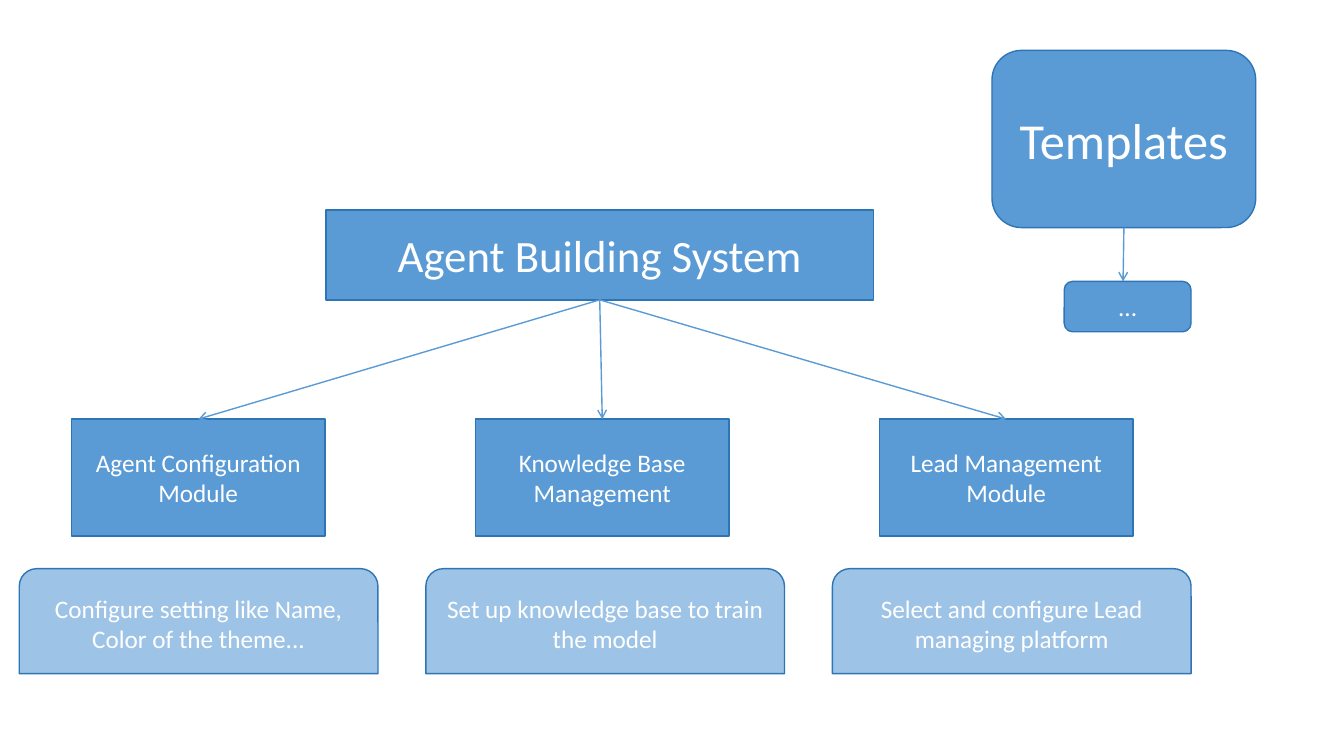
from lxml import etree
from pptx import Presentation
from pptx import util as u
from pptx.dml import color
from pptx.enum import shapes, text
from pptx.oxml import ns

COLUMNS, ROWS = 160, 90
BOTTOM, TOP = 2, 0
KIND = shapes.MSO_SHAPE


def rgb(value):
    """Turn a hex string into a colour."""
    return color.RGBColor.from_string(value)


class Diagram:
    """Holds the style and the slide, and draws each kind of element on a grid."""

    font, ink = "Calibri", "FFFFFF"
    strong, soft, edge = "5B9BD5", "9DC3E6", "2E75B6"

    def __init__(self, deck):
        """Add a title slide to the deck and measure its grid."""
        self.slide = deck.slides.add_slide(deck.slide_layouts[5])
        self.column = deck.slide_width / COLUMNS
        self.row = deck.slide_height / ROWS

    def place(self, x, y, w, h):
        """Convert grid units to slide lengths."""
        return [u.Emu(round(n * unit)) for n, unit in
                zip((x, y, w, h), (self.column, self.row) * 2)]

    def dress(self, node, words, size, fill):
        """Give a node its fill, outline and centred text."""
        node.fill.solid()
        node.fill.fore_color.rgb = rgb(fill)
        node.line.color.rgb = rgb(self.edge)
        node.line.width = u.Pt(1)
        frame = node.text_frame
        frame.word_wrap = True
        frame.auto_size = text.MSO_AUTO_SIZE.NONE
        frame.vertical_anchor = text.MSO_ANCHOR.MIDDLE
        paragraph = frame.paragraphs[0]
        paragraph.alignment = text.PP_ALIGN.CENTER
        run = paragraph.add_run()
        run.text = words
        run.font.name, run.font.size = self.font, u.Pt(size)
        run.font.color.rgb = rgb(self.ink)
        return node

    def title(self, words, area, size):
        """Move the title placeholder into the diagram as its root."""
        root = self.slide.shapes.title
        root.left, root.top, root.width, root.height = self.place(*area)
        return self.dress(root, words, size, self.strong)

    def box(self, words, area, kind=KIND.RECTANGLE, size=18, fill=strong):
        """Draw a box with text."""
        node = self.slide.shapes.add_shape(kind, *self.place(*area))
        node.shadow.inherit = False
        return self.dress(node, words, size, fill)

    def arrow(self, source, target=None, point=(0, 0)):
        """Draw an arrow from a box's bottom to another's top or to a point."""
        end = self.place(*point, 0, 0)[:2]
        link = self.slide.shapes.add_connector(shapes.MSO_CONNECTOR.STRAIGHT, 0, 0, *end)
        link.begin_connect(source, BOTTOM)
        if target is not None:
            link.end_connect(target, TOP)
        link.line.color.rgb = rgb(self.strong)
        link.line.width = u.Pt(1)
        etree.SubElement(link.line._get_or_add_ln(), ns.qn("a:tailEnd"), type="arrow")
        etree.SubElement(link._element.spPr, ns.qn("a:effectLst"))


MODULES = [
    ("Agent Configuration Module", "Configure setting like Name, Color of the theme..."),
    ("Knowledge Base Management", "Set up knowledge base to train the model"),
    ("Lead Management Module", "Select and configure Lead managing platform"),
]


def main():
    """Build the slide and save it."""
    deck = Presentation()
    deck.slide_width, deck.slide_height = u.Inches(13.333), u.Inches(7.5)
    diagram = Diagram(deck)

    system = diagram.title("Agent Building System", (38.8, 25, 65.2, 10.7), 32)
    for i, (name, purpose) in enumerate(MODULES):
        module = diagram.box(name, (8.5 + 48.1 * i, 49.9, 30.2, 13.9))
        diagram.arrow(system, module)
        diagram.box(purpose, (2.3 + 48.4 * i, 67.7, 42.7, 12.5),
                    KIND.ROUND_2_SAME_RECTANGLE, fill=diagram.soft)

    templates = diagram.box("Templates", (118.1, 6, 31.4, 21.1),
                            KIND.ROUNDED_RECTANGLE, size=36)
    diagram.arrow(templates, point=(133.7, 33.5))
    diagram.box("...", (126.7, 33.5, 15.1, 6), KIND.ROUNDED_RECTANGLE)

    deck.save("out.pptx")


if __name__ == "__main__":
    main()
